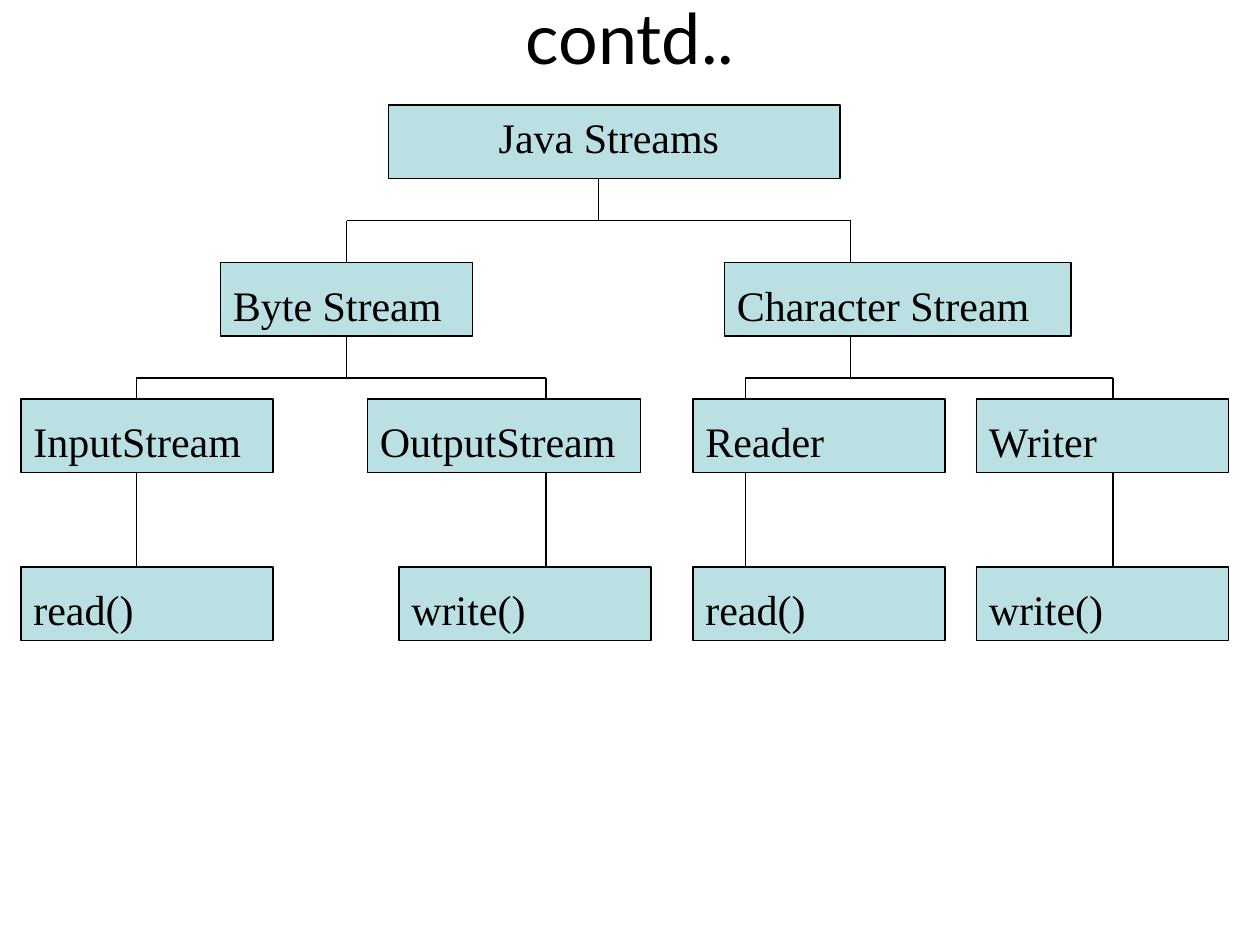
import pptx
import pptx.dml.color
import pptx.enum.shapes
import pptx.enum.text
import pptx.util
from dataclasses import dataclass
from lxml import etree

PX = 7620  # EMU per px, 120 px to the inch
BOX_HEIGHT = 70
LABEL_DROP = 10


@dataclass(frozen=True)
class Theme:
    box_fill: str = "BBE0E3"
    ink: str = "000000"
    title_font: str = "Lato"
    label_font: str = "Times New Roman"
    title_size: int = 40
    label_size: int = 24
    line_width: float = 0.75


THEME = Theme()


def px(*lengths):
    return [pptx.util.Emu(length * PX) for length in lengths]


def color(value):
    return pptx.dml.color.RGBColor.from_string(value)


def style_line(line):
    line.color.rgb = color(THEME.ink)
    line.width = pptx.util.Pt(THEME.line_width)


def add_text(slide, words, bounds, font, size, centered=False):
    frame = slide.shapes.add_textbox(*px(*bounds)).text_frame
    frame.word_wrap = True
    frame.text = words
    paragraph = frame.paragraphs[0]
    align = pptx.enum.text.PP_ALIGN
    paragraph.alignment = align.CENTER if centered else align.LEFT
    run_font = paragraph.runs[0].font
    run_font.name = font
    run_font.size = pptx.util.Pt(size)
    run_font.color.rgb = color(THEME.ink)
    return frame


def add_box(slide, left, top, width):
    box = slide.shapes.add_shape(
        pptx.enum.shapes.MSO_SHAPE.RECTANGLE, *px(left, top, width, BOX_HEIGHT))
    box.shadow.inherit = False
    box.fill.solid()
    box.fill.fore_color.rgb = color(THEME.box_fill)
    style_line(box.line)
    return box


def add_node(slide, words, left, top, width, label_width=280):
    box = add_box(slide, left, top, width)
    add_text(slide, words, (left, top + LABEL_DROP, label_width, 60),
             THEME.label_font, THEME.label_size)
    return box


def add_line(slide, x1, y1, x2, y2):
    line = slide.shapes.add_connector(
        pptx.enum.shapes.MSO_CONNECTOR.STRAIGHT, *px(x1, y1, x2, y2))
    style_line(line.line)
    etree.SubElement(line._element.spPr, pptx.oxml.ns.qn("a:effectLst"))
    return line


def add_fork(slide, parent_x, parent_y, bus_y, child_xs, child_y):
    """Draw a stem, a crossbar and a drop to each child; return stem and drops."""
    stem = add_line(slide, parent_x, parent_y, parent_x, bus_y)
    add_line(slide, child_xs[0], bus_y, child_xs[-1], bus_y)
    drops = [add_line(slide, x, bus_y, x, child_y) for x in child_xs]
    return stem, drops


def main():
    deck = pptx.Presentation()
    deck.slide_width, deck.slide_height = px(1200, 900)
    slide = deck.slides.add_slide(deck.slide_layouts[6])

    # Title
    title = add_text(slide, "contd..", (0, 10, 1200, 50),
                     THEME.title_font, THEME.title_size, centered=True)
    title.vertical_anchor = pptx.enum.text.MSO_ANCHOR.MIDDLE

    # Root
    root_y, family_y, class_y, method_y = 100, 250, 380, 540
    add_box(slide, 370, root_y, 430)
    add_text(slide, "Java Streams", (370, root_y, 420, 60),
             THEME.label_font, THEME.label_size, centered=True)

    # Stream families
    byte_x, character_x = 330, 810
    byte_stream = add_node(slide, "Byte Stream", 210, family_y, 240)
    add_node(slide, "Character Stream", 690, family_y, 330, label_width=370)
    _, (byte_drop, _) = add_fork(slide, 570, root_y + BOX_HEIGHT, 210,
                                 (byte_x, character_x), family_y)
    byte_drop.end_connect(byte_stream, 0)

    # Classes, each above its method: link x, name, left, width, method, left
    branches = (
        (130, "InputStream", 20, 240, "read()", 20),
        (520, "OutputStream", 350, 260, "write()", 380),
        (710, "Reader", 660, 240, "read()", 660),
        (1060, "Writer", 930, 240, "write()", 930),
    )
    for link_x, name, left, width, method, method_left in branches:
        add_node(slide, name, left, class_y, width)
        add_node(slide, method, method_left, method_y, 240)
        add_line(slide, link_x, class_y + BOX_HEIGHT, link_x, method_y)

    # Forks from families to classes
    link_xs = [branch[0] for branch in branches]
    family_bottom = family_y + BOX_HEIGHT
    byte_stem, _ = add_fork(slide, byte_x, family_bottom, 360, link_xs[:2], class_y)
    byte_stem.begin_connect(byte_stream, 2)
    add_fork(slide, character_x, family_bottom, 360, link_xs[2:], class_y)

    deck.save("out.pptx")


if __name__ == "__main__":
    main()
